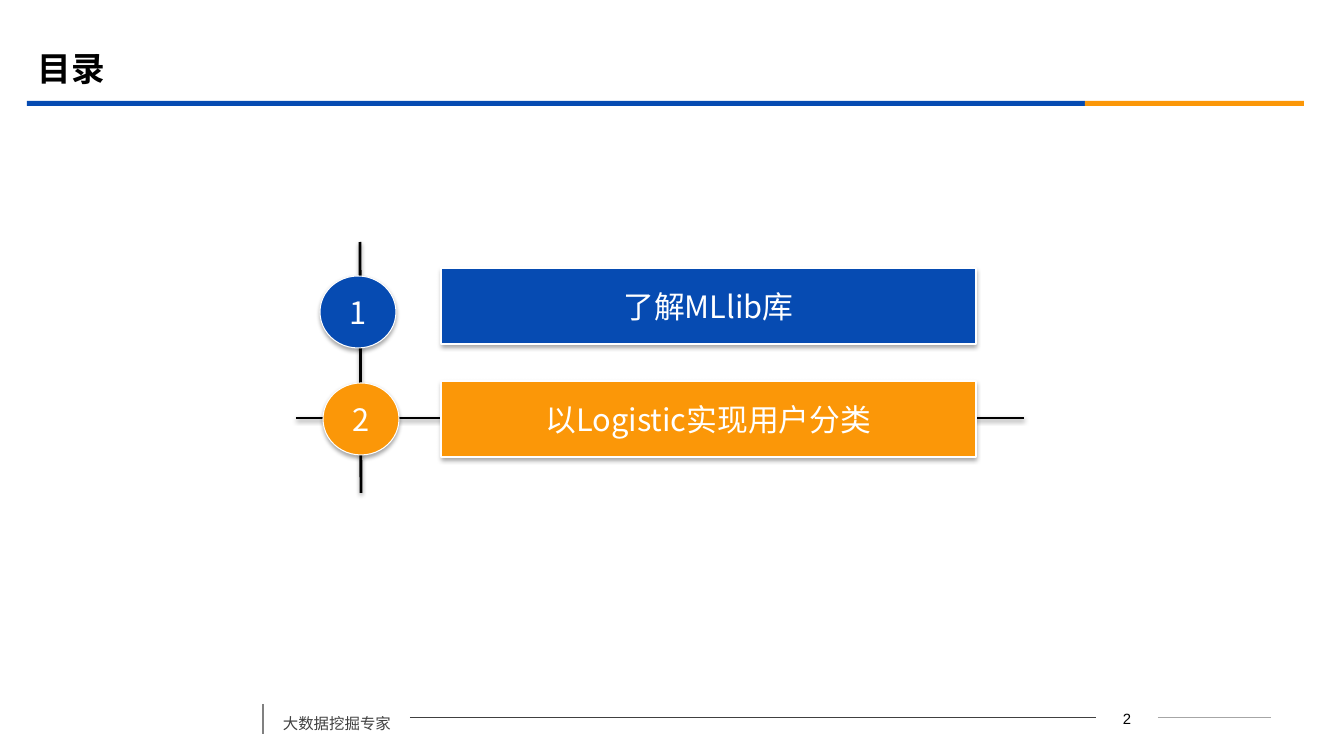
from lxml import etree
from pptx import Presentation
from pptx.dml.color import RGBColor
from pptx.enum.shapes import MSO_CONNECTOR, MSO_SHAPE
from pptx.enum.text import MSO_ANCHOR, PP_ALIGN
from pptx.oxml.ns import qn
from pptx.util import Pt

PX = 914400 / 100.8
STRAIGHT = MSO_CONNECTOR.STRAIGHT
RECT, OVAL, BUTTON = MSO_SHAPE.RECTANGLE, MSO_SHAPE.OVAL, MSO_SHAPE.ACTION_BUTTON_CUSTOM
LEFT, CENTER = PP_ALIGN.LEFT, PP_ALIGN.CENTER
TOP, MIDDLE = MSO_ANCHOR.TOP, MSO_ANCHOR.MIDDLE
BLUE, ORANGE, BLACK, WHITE = "064BB2", "FB9708", "000000", "FFFFFF"
CJK = "Noto Sans CJK SC"
LEFT_SIDE, RIGHT_SIDE = 1, 3


def px(*lengths):
    return [round(length * PX) for length in lengths]


def color(value):
    return RGBColor.from_string(value)


prs = Presentation()
prs.slide_width, prs.slide_height = px(1344, 756)
slide = prs.slides.add_slide(prs.slide_layouts[6])
shapes = slide.shapes

texts = []  # (shape, wording, wrap, alignment, anchor, font values)
shadows = []  # (shape, distance in EMU, opacity in percent)

# Title and the two-colour rule under it
title = shapes.add_textbox(*px(28, 39, 1210, 58))
texts.append((title, "目录", True, LEFT, MIDDLE,
              {"size": Pt(24), "name": CJK, "bold": True, "color": BLACK}))
for left, width, fill in ((27, 1058, BLUE), (1085, 219, ORANGE)):
    rule = shapes.add_shape(RECT, *px(left, 101, width, 5))
    rule.shadow.inherit = False
    rule.fill.solid()
    rule.fill.fore_color.rgb = color(fill)
    rule.line.fill.background()

# Footer
slogan = shapes.add_textbox(*px(273, 699, 137, 38))
slogan.text_frame.margin_top = px(15)[0]
texts.append((slogan, "大数据挖掘专家", True, LEFT, MIDDLE,
              {"size": Pt(11), "name": CJK, "color": "404040"}))
page_number = shapes.add_textbox(*px(1096, 705, 62, 26))
texts.append((page_number, "2", True, CENTER, TOP,
              {"size": Pt(10.6), "name": "Arial", "color": BLACK}))

# Footer lines, then the two axes behind the agenda
lines = []
for ends, stroke, weight, opacity in (
    ((263, 704, 263, 734), "808080", 1.25, 0),
    ((410, 718, 1096, 718), "404040", 0.75, 0),
    ((1158, 718, 1271, 718), "A6A6A6", 0.75, 0),
    ((360, 242, 361, 493), BLACK, 2, 38),
    ((296, 418, 1024, 418), BLACK, 2, 38),
):
    line = shapes.add_connector(STRAIGHT, *px(*ends))
    line.line.color.rgb = color(stroke)
    line.line.width = Pt(weight)
    shadows.append((line, 20000, opacity))
    lines.append(line)
lines[1].begin_connect(slogan, RIGHT_SIDE)
lines[1].end_connect(page_number, LEFT_SIDE)
lines[2].begin_connect(page_number, RIGHT_SIDE)

# Agenda: a numbered circle and a bar for each entry
agenda = (
    ("1", "了解MLlib库", BLUE, (320, 276), 268),
    ("2", "以Logistic实现用户分类", ORANGE, (323, 383), 381),
)
for number, topic, fill, circle_at, bar_top in agenda:
    for preset, box, wording in (
        (OVAL, (*circle_at, 76, 72), number),
        (BUTTON, (441, bar_top, 535, 76), topic),
    ):
        part = shapes.add_shape(preset, *px(*box))
        part.fill.solid()
        part.fill.fore_color.rgb = color(fill)
        part.line.color.rgb = color(WHITE)
        part.line.width = Pt(0.75)
        shadows.append((part, 23000, 35))
        texts.append((part, wording, False, CENTER, MIDDLE,
                      {"size": Pt(22), "name": CJK, "color": WHITE}))

for shape, wording, wrap, alignment, anchor, values in texts:
    frame = shape.text_frame
    frame.word_wrap = wrap
    frame.vertical_anchor = anchor
    paragraph = frame.paragraphs[0]
    paragraph.alignment = alignment
    run = paragraph.add_run()
    run.text = wording
    for key, value in values.items():
        if key == "color":
            run.font.color.rgb = color(value)
        else:
            setattr(run.font, key, value)
    east_asian = etree.SubElement(run.font._element, qn("a:ea"))
    east_asian.set("typeface", values["name"])

for shape, distance, opacity in shadows:
    effects = etree.SubElement(shape._element.spPr, qn("a:effectLst"))
    if opacity:
        outer = etree.SubElement(effects, qn("a:outerShdw"), blurRad="40000",
                                 dist=str(distance), dir="5400000", rotWithShape="0")
        tint = etree.SubElement(outer, qn("a:srgbClr"), val=BLACK)
        etree.SubElement(tint, qn("a:alpha"), val=str(opacity * 1000))

prs.save("out.pptx")
